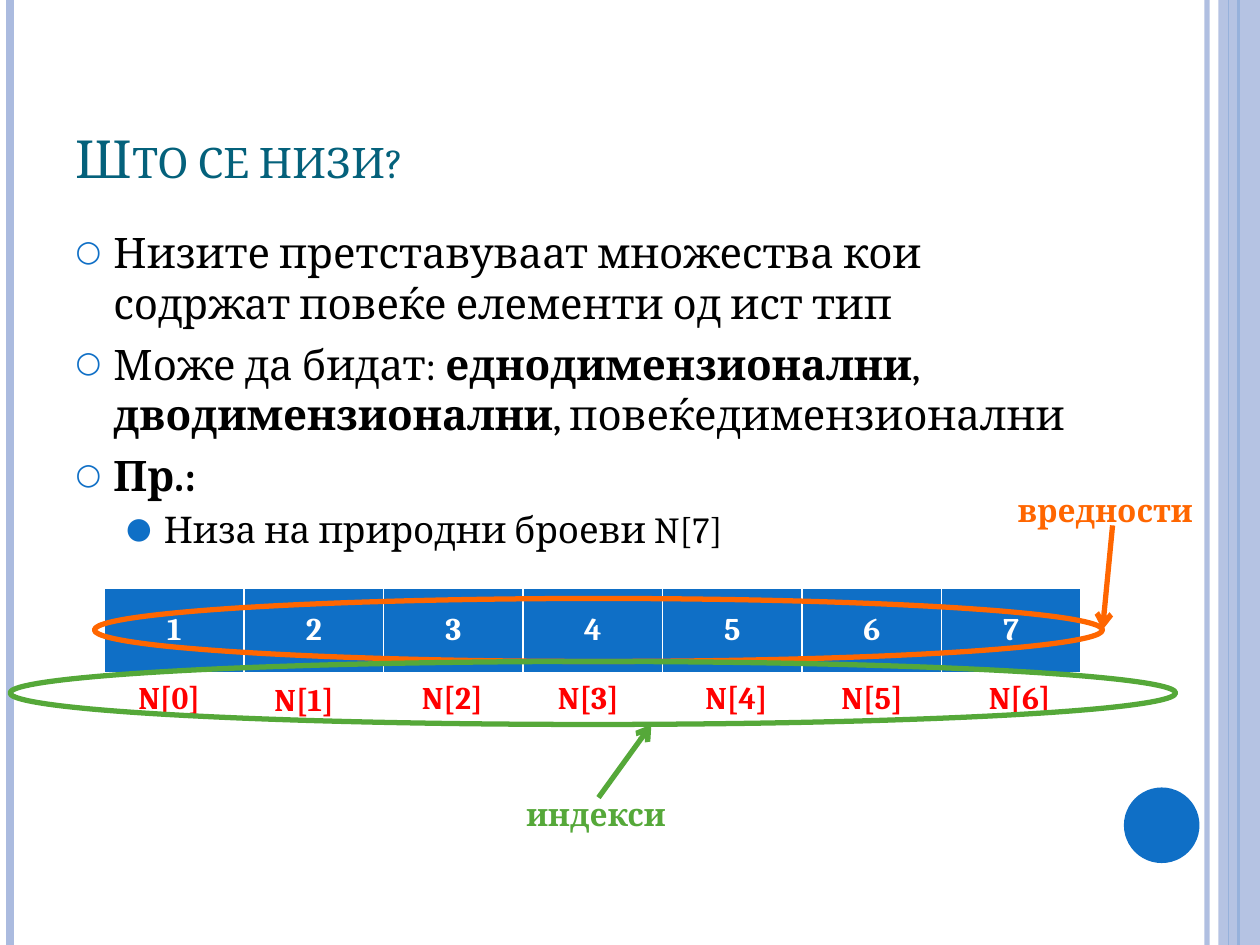
from dataclasses import dataclass

from lxml import etree
from pptx import Presentation
from pptx.dml.color import RGBColor
from pptx.enum.shapes import MSO_CONNECTOR, MSO_SHAPE
from pptx.enum.text import MSO_ANCHOR, MSO_AUTO_SIZE, PP_ALIGN
from pptx.oxml.ns import qn
from pptx.util import Inches, Pt

LINE = MSO_CONNECTOR.STRAIGHT
OVAL, RECT = MSO_SHAPE.OVAL, MSO_SHAPE.RECTANGLE
TOP, MIDDLE, BOTTOM = MSO_ANCHOR.TOP, MSO_ANCHOR.MIDDLE, MSO_ANCHOR.BOTTOM
LEFT, CENTER = PP_ALIGN.LEFT, PP_ALIGN.CENTER
FONT = "Cambria"
COLORS = {
    "pale": "ABBBDF", "blue": "0F6FC6", "teal": "04617B", "black": "000000",
    "white": "FFFFFF", "red": "FF0000", "orange": "FF6600", "green": "55A839",
}


@dataclass
class Rule:
    x: float
    color: str
    width: float
    alpha: int = 100


@dataclass
class Item:
    runs: list[tuple[str, bool]]
    level: int = 0
    size: float = 24
    indent: float = 0.3
    before: float = 6
    bullet: str = "○"
    scale: int = 70


@dataclass
class Callout:
    text: str
    color: str
    label: tuple[float, float, float, float]
    ring: tuple[float, float, float, float]
    start: tuple[float, float]
    end: tuple[float, float]


RULES = [
    Rule(9.58, "pale", 3, 93),
    Rule(0.08, "pale", 4.5),
    Rule(9.83, "blue", 1.5),
    Rule(9.75, "blue", 0.75),
]
ITEMS = [
    Item([("Низите претставуваат множества кои содржат повеќе елементи од ист тип", False)]),
    Item([("Може да бидат: ", False), ("еднодимензионални", True), (", ", False),
          ("дводимензионални", True), (", повеќедимензионални", False)]),
    Item([("Пр.:", True)]),
    Item([("Низа на природни броеви N[7]", False)], 1, 21, 0.7, 4.2, "●", 80),
]
CALLOUTS = [
    Callout("вредности", "orange", (7.98, 3.85, 1.6, 0.4), (0.75, 4.75, 8, 0.5),
            (8.83, 4.17), (8.75, 5)),
    Callout("индекси", "green", (4.08, 6.26, 1.33, 0.4), (0.08, 5.25, 9.25, 0.5),
            (4.75, 6.33), (5.17, 5.75)),
]
COUNT = 7


def rgb(name: str) -> RGBColor:
    return RGBColor.from_string(COLORS[name])


def box(at: tuple) -> list:
    return [Inches(value) for value in at]


def place(shape, at: tuple) -> None:
    shape.left, shape.top, shape.width, shape.height = box(at)


def fade(shape, alpha: int) -> None:
    """Set the opacity, in percent, of the shape's first colour."""
    color = next(shape._element.spPr.iter(qn("a:srgbClr")))
    etree.SubElement(color, qn("a:alpha"), val=str(alpha * 1000))


def add_run(para, text: str, size: float, color: str, bold: bool = False):
    run = para.add_run()
    run.text = text
    font = run.font
    font.name, font.size, font.bold = FONT, Pt(size), bold
    font.color.rgb = rgb(color)
    return run


def add_line(slide, start: tuple, end: tuple, color: str, width: float):
    line = slide.shapes.add_connector(LINE, *box(start + end))
    line.line.color.rgb = rgb(color)
    line.line.width = Pt(width)
    etree.SubElement(line._element.spPr, qn("a:effectLst"))
    return line


def add_solid(slide, kind, at: tuple, color: str):
    shape = slide.shapes.add_shape(kind, *box(at))
    shape.shadow.inherit = False
    shape.fill.solid()
    shape.fill.fore_color.rgb = rgb(color)
    shape.line.fill.background()
    return shape


def add_label(slide, text: str, at: tuple, color: str) -> None:
    frame = slide.shapes.add_textbox(*box(at)).text_frame
    frame.word_wrap = False
    frame.auto_size = MSO_AUTO_SIZE.SHAPE_TO_FIT_TEXT
    add_run(frame.paragraphs[0], text, 18, color, True)


def add_frame(slide) -> None:
    """Draw the side rules, the right band and the round badge."""
    for rule in RULES:
        line = add_line(slide, (rule.x, 0), (rule.x, 7.5), rule.color, rule.width)
        if rule.alpha < 100:
            fade(line, rule.alpha)
    fade(add_solid(slide, RECT, (9.67, 0, 0.33, 7.5), "pale"), 87)
    add_solid(slide, OVAL, (8.92, 6.25, 0.6, 0.6), "blue")


def fill_title(title) -> None:
    place(title, (0.5, 0.3, 8.17, 1.25))
    frame = title.text_frame
    frame.auto_size = MSO_AUTO_SIZE.NONE
    frame.vertical_anchor = BOTTOM
    para = frame.paragraphs[0]
    para.alignment = LEFT
    run = add_run(para, "Што се низи?", 30, "teal")
    run.font._element.set("cap", "small")


def set_bullet(para, item: Item) -> None:
    props = para._p.get_or_add_pPr()
    props.set("marL", str(Inches(item.indent)))
    props.set("indent", str(Inches(-0.3)))
    color = etree.SubElement(props, qn("a:buClr"))
    etree.SubElement(color, qn("a:srgbClr"), val=COLORS["blue"])
    etree.SubElement(props, qn("a:buSzPct"), val=str(item.scale * 1000))
    etree.SubElement(props, qn("a:buFont"), typeface=FONT)
    etree.SubElement(props, qn("a:buChar"), char=item.bullet)


def fill_body(body) -> None:
    place(body, (0.5, 1.75, 8.17, 5.33))
    frame = body.text_frame
    frame.auto_size = MSO_AUTO_SIZE.NONE
    frame.vertical_anchor = TOP
    for i, item in enumerate(ITEMS):
        para = frame.add_paragraph() if i else frame.paragraphs[0]
        para.level = item.level
        para.space_before = Pt(item.before)
        set_bullet(para, item)
        for text, bold in item.runs:
            add_run(para, text, item.size, "black", bold)


def add_values(slide) -> None:
    table = slide.shapes.add_table(1, COUNT, *box((0.83, 4.67, 7.75, 0.67))).table
    for i, cell in enumerate(table.iter_cells(), 1):
        cell.fill.solid()
        cell.fill.fore_color.rgb = rgb("blue")
        cell.vertical_anchor = MIDDLE
        para = cell.text_frame.paragraphs[0]
        para.alignment = CENTER
        add_run(para, str(i), 18, "white", True)


def add_callout(slide, note: Callout) -> None:
    ring = add_solid(slide, OVAL, note.ring, note.color)
    ring.fill.background()
    ring.line.color.rgb = rgb(note.color)
    ring.line.width = Pt(3)
    arrow = add_line(slide, note.start, note.end, note.color, 3)
    etree.SubElement(arrow.line._get_or_add_ln(), qn("a:tailEnd"), type="arrow")
    add_label(slide, note.text, note.label, note.color)


def main() -> None:
    deck = Presentation()
    deck.slide_width, deck.slide_height = Inches(10), Inches(7.5)
    slide = deck.slides.add_slide(deck.slide_layouts[1])
    add_frame(slide)
    fill_title(slide.shapes.title)
    fill_body(slide.placeholders[1])
    add_values(slide)
    for i in range(COUNT):
        pair, odd = divmod(i, 2)
        top = 5.35 if i == 1 else 5.33
        add_label(slide, f"N[{i}]", (1 + 2.25 * pair + 1.08 * odd, top, 0.75, 0.4), "red")
    for note in CALLOUTS:
        add_callout(slide, note)
    deck.save("out.pptx")


if __name__ == "__main__":
    main()
